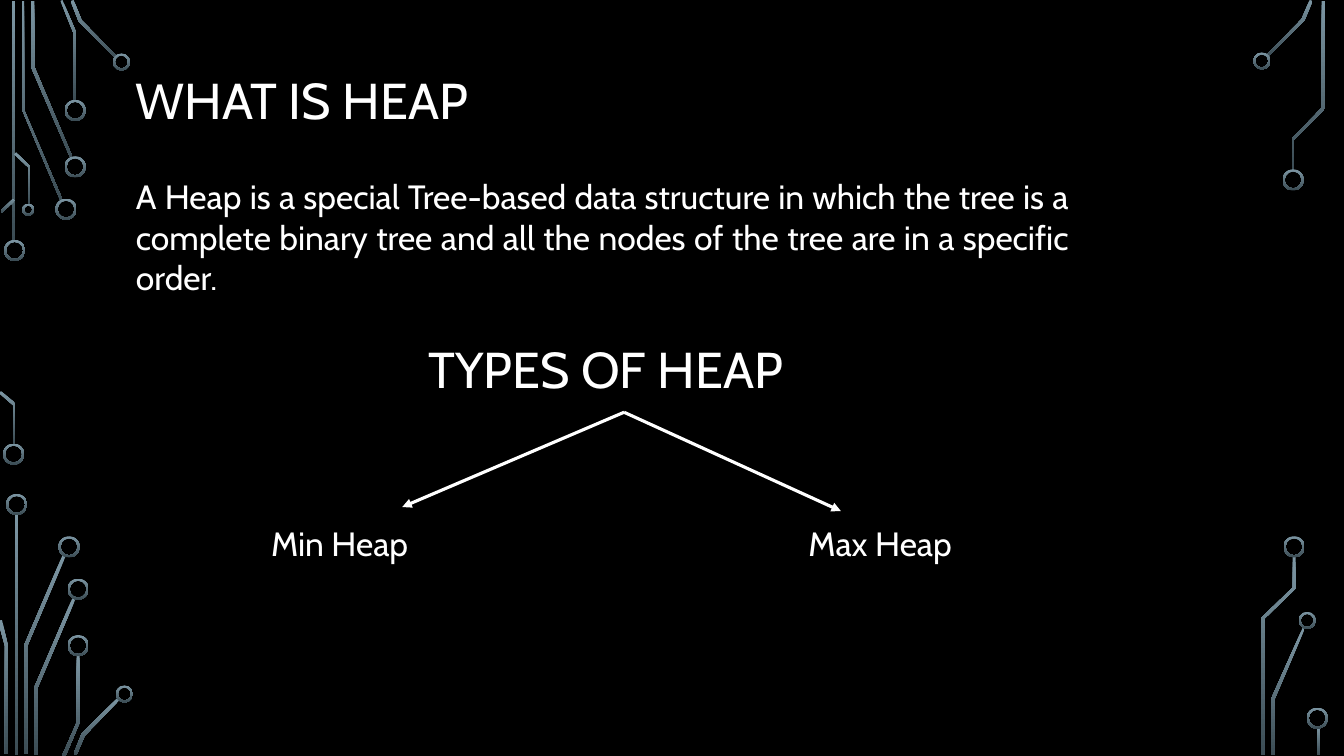
from lxml.etree import SubElement
from pptx import Presentation
from pptx.dml.color import RGBColor
from pptx.enum.shapes import MSO_CONNECTOR, MSO_SHAPE
from pptx.enum.text import MSO_ANCHOR, MSO_AUTO_SIZE, PP_ALIGN
from pptx.oxml.ns import qn
from pptx.util import Emu, Pt

SCALE = 9144  # EMU in one px, 100 px to the inch


def px(n):
    return Emu(n * SCALE)


def tint(code):
    return RGBColor.from_string(code)


class Board:
    font = "Cabin"
    ink = "FFFFFF"
    back = "000000"
    light = "7C96A3"
    dark = "3B4C54"

    def __init__(self, deck):
        self.slide = deck.slides.add_slide(deck.slide_layouts[6])
        self.shapes = self.slide.shapes
        fill = self.slide.background.fill
        fill.solid()
        fill.fore_color.rgb = tint(self.back)

    def shade(self, shape):
        """Fill from light at the top to dark at the bottom, no outline."""
        shape.shadow.inherit = False
        shape.line.fill.background()
        shape.fill.gradient()
        shape.fill.gradient_angle = 270
        for stop, code in zip(shape.fill.gradient_stops, (self.light, self.dark)):
            stop.color.rgb = tint(code)

    def bar(self, x, y, wide, high):
        self.shade(self.shapes.add_shape(
            MSO_SHAPE.RECTANGLE, px(x), px(y), px(wide), px(high)))

    def ring(self, x, y, size):
        ring = self.shapes.add_shape(
            MSO_SHAPE.DONUT, px(x), px(y), px(size), px(size))
        ring.adjustments[0] = 2 / size
        self.shade(ring)

    def trace(self, *points):
        path = self.shapes.build_freeform(*points[0], scale=SCALE)
        path.add_line_segments(points[1:], close=True)
        self.shade(path.convert_to_shape())

    def text(self, x, y, wide, high, words, size):
        box = self.shapes.add_textbox(px(x), px(y), px(wide), px(high))
        frame = box.text_frame
        frame.word_wrap = True
        para = frame.paragraphs[0]
        run = para.add_run()
        run.text = words
        run.font.name = self.font
        run.font.size = Pt(size)
        run.font.color.rgb = tint(self.ink)
        return box

    def head(self, *args):
        box = self.text(*args, 36)
        box.text_frame.vertical_anchor = MSO_ANCHOR.MIDDLE
        box.text_frame.paragraphs[0].line_spacing = 0.9
        return box

    def body(self, *args):
        box = self.text(*args, 24)
        box.text_frame.auto_size = MSO_AUTO_SIZE.SHAPE_TO_FIT_TEXT
        box.text_frame.paragraphs[0].alignment = PP_ALIGN.JUSTIFY

    def arrow(self, box, x, y):
        """Point from the middle of the box's lower side to x, y."""
        line = self.shapes.add_connector(
            MSO_CONNECTOR.STRAIGHT, 0, 0, px(x), px(y))
        line.begin_connect(box, 2)
        line.line.color.rgb = tint(self.ink)
        line.line.width = Pt(2.25)
        SubElement(line.line._get_or_add_ln(), qn("a:tailEnd"), type="triangle")
        SubElement(line._element.spPr, qn("a:effectLst"))


BARS = [(12, 1, 3, 239), (15, 510, 3, 239), (1306, 721, 3, 28)]

# Left and top of each ring, by size
RINGS = {
    21: [(4, 238), (3, 440), (55, 197), (64, 155), (64, 99), (6, 490),
         (58, 532), (67, 574), (67, 630), (1272, 168), (1273, 532), (1296, 702)],
    17: [(112, 53), (115, 680), (1243, 52), (1288, 607)],
    12: [(22, 202)],
}

TRACES = [
    # Top left
    [(60, 199), (22, 109), (22, 1), (24, 1), (24, 109), (62, 198)],
    [(70, 157), (31, 67), (31, 1), (34, 1), (34, 66), (72, 156)],
    [(76, 100), (73, 100), (73, 33), (60, 1), (62, 0), (76, 33)],
    [(115, 58), (78, 21), (70, 1), (73, 0), (81, 20), (116, 56)],
    [(2, 211), (1, 209), (13, 197), (15, 199)],
    [(30, 203), (28, 203), (28, 166), (14, 153), (16, 151), (30, 165)],
    # Bottom left
    [(15, 441), (13, 441), (13, 402), (-1, 390), (1, 388), (15, 400)],
    [(27, 748), (24, 748), (24, 640), (62, 551), (65, 552), (27, 641)],
    [(8, 748), (5, 748), (5, 641), (-2, 616), (2, 615), (8, 641)],
    [(37, 749), (34, 749), (34, 682), (72, 593), (75, 594), (37, 683)],
    [(65, 750), (62, 749), (76, 717), (76, 650), (79, 650), (79, 717)],
    [(76, 749), (73, 748), (81, 728), (117, 692), (119, 694), (84, 730)],
    # Top right
    [(1258, 56), (1256, 55), (1291, 19), (1299, 0), (1302, 1), (1294, 20)],
    [(1283, 169), (1281, 169), (1281, 138), (1311, 107), (1311, 1),
     (1314, 1), (1314, 108), (1283, 139)],
    # Bottom right
    [(1264, 749), (1261, 749), (1261, 693), (1292, 623), (1294, 624), (1264, 694)],
    [(1254, 749), (1251, 749), (1251, 613), (1282, 583), (1282, 552),
     (1285, 552), (1285, 584), (1254, 614)],
]


def main():
    deck = Presentation()
    deck.slide_width, deck.slide_height = px(1333), px(750)
    board = Board(deck)

    for bar in BARS:
        board.bar(*bar)
    for trace in TRACES:
        board.trace(*trace)
    for size, spots in RINGS.items():
        for x, y in spots:
            board.ring(x, y, size)

    board.head(125, 62, 1083, 80, "WHAT IS HEAP")
    board.body(125, 170, 945, 131,
               "A Heap is a special Tree-based data structure in which the tree "
               "is a complete binary tree and all the nodes of the tree are in a "
               "specific order.")
    types = board.head(415, 329, 408, 80, "TYPES OF HEAP")
    for x, y in ((399, 503), (834, 507)):
        board.arrow(types, x, y)
    for x, words in ((259, "Min Heap"), (792, "Max Heap")):
        board.body(x, 514, 175, 50, words)

    deck.save("out.pptx")


if __name__ == "__main__":
    main()
